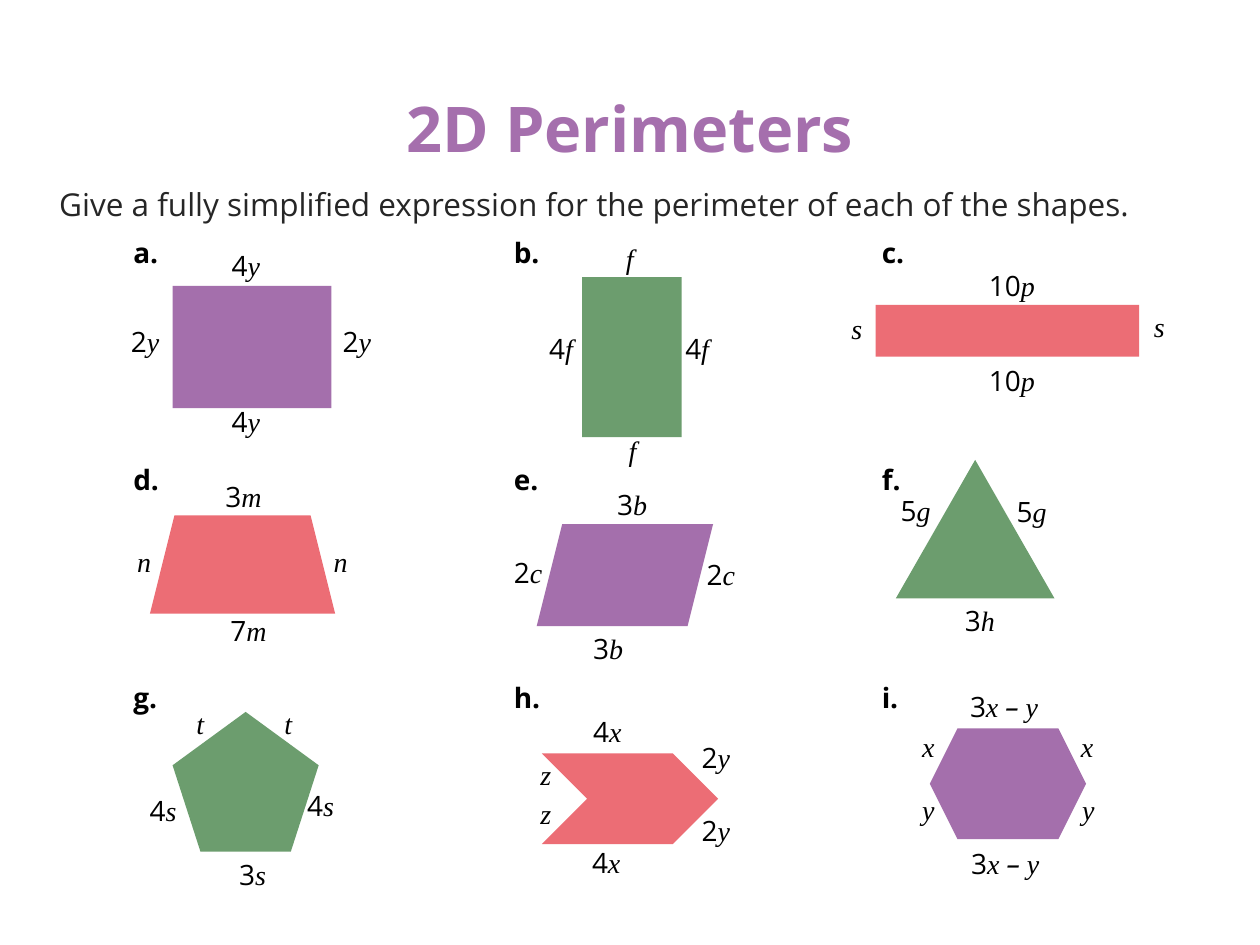
from dataclasses import dataclass
from itertools import groupby, product

from pptx import Presentation
from pptx.dml.color import RGBColor
from pptx.enum.shapes import MSO_SHAPE
from pptx.enum.text import MSO_AUTO_SIZE, PP_ALIGN
from pptx.util import Emu, Pt

PX = 9144
SANS = "Open Sans"
SERIF = "Times New Roman"
PURPLE = RGBColor(0xA4, 0x6F, 0xAC)
GREEN = RGBColor(0x6C, 0x9D, 0x6E)
RED = RGBColor(0xEC, 0x6D, 0x75)
TITLE = RGBColor(0xA5, 0x6F, 0xAD)
INK = RGBColor(0x26, 0x26, 0x26)
BLACK = RGBColor(0, 0, 0)

COLUMNS = (96, 398, 690)
ROWS = (182, 362, 535)
LABEL_H = 37


@dataclass(frozen=True)
class Box:
    x: int
    y: int
    w: int
    h: int

    def emu(self) -> list[Emu]:
        return [Emu(v * PX) for v in (self.x, self.y, self.w, self.h)]


@dataclass(frozen=True)
class Side:
    text: str
    x: int
    y: int
    w: int


@dataclass(frozen=True)
class Exercise:
    letter: str
    kind: MSO_SHAPE
    box: Box
    color: RGBColor
    sides: tuple[Side, ...]


EXERCISES = (
    Exercise("a", MSO_SHAPE.RECTANGLE, Box(137, 227, 126, 97), PURPLE, (
        Side("4y", 174, 192, 51), Side("4y", 174, 316, 51),
        Side("2y", 262, 253, 51), Side("2y", 94, 253, 50))),
    Exercise("b", MSO_SHAPE.RECTANGLE, Box(462, 220, 79, 127), GREEN, (
        Side("4f", 426, 258, 51), Side("4f", 534, 258, 51),
        Side("f", 489, 339, 25), Side("f", 487, 187, 27))),
    Exercise("c", MSO_SHAPE.RECTANGLE, Box(695, 242, 209, 41), RED, (
        Side("10p", 775, 284, 61), Side("10p", 775, 208, 61),
        Side("s", 666, 242, 27), Side("s", 906, 241, 28))),
    Exercise("d", MSO_SHAPE.TRAPEZOID, Box(119, 409, 147, 78), RED, (
        Side("3m", 169, 376, 50), Side("7m", 173, 482, 54),
        Side("n", 99, 427, 47), Side("n", 255, 427, 46))),
    Exercise("e", MSO_SHAPE.PARALLELOGRAM, Box(426, 416, 140, 81), PURPLE, (
        Side("3b", 480, 382, 46), Side("3b", 461, 496, 56),
        Side("2c", 551, 438, 56), Side("2c", 398, 436, 56))),
    Exercise("f", MSO_SHAPE.ISOSCELES_TRIANGLE, Box(711, 365, 126, 110), GREEN, (
        Side("5g", 705, 387, 46), Side("5g", 797, 388, 46),
        Side("3h", 756, 474, 46))),
    Exercise("g", MSO_SHAPE.REGULAR_PENTAGON, Box(137, 565, 116, 111), GREEN, (
        Side("3s", 180, 676, 46), Side("4s", 109, 625, 46),
        Side("4s", 234, 621, 46), Side("t", 216, 556, 47),
        Side("t", 146, 556, 24))),
    Exercise("h", MSO_SHAPE.CHEVRON, Box(430, 598, 140, 72), RED, (
        Side("2y", 547, 583, 51), Side("2y", 547, 641, 50),
        Side("4x", 461, 562, 50), Side("4x", 460, 666, 51),
        Side("z", 419, 596, 50), Side("z", 419, 627, 51))),
    Exercise("i", MSO_SHAPE.HEXAGON, Box(738, 578, 124, 88), PURPLE, (
        Side("3x – y", 760, 542, 79), Side("3x – y", 761, 667, 76),
        Side("x", 722, 574, 74), Side("x", 848, 574, 74),
        Side("y", 722, 624, 74), Side("y", 849, 624, 74))),
)


def add_text(s, box: Box, size: int, color: RGBColor, text: str = "",
             bold: bool = False, grow: bool = True):
    tf = s.shapes.add_textbox(*box.emu()).text_frame
    tf.word_wrap = True
    tf.auto_size = MSO_AUTO_SIZE.SHAPE_TO_FIT_TEXT if grow else MSO_AUTO_SIZE.NONE
    p = tf.paragraphs[0]
    p.text = text
    p.font.size = Pt(size)
    p.font.color.rgb = color
    p.font.name = SANS
    p.font.bold = bold
    return tf


def run_style(char: str) -> tuple[str, bool]:
    return (SANS if char.isdigit() or char == "–" else SERIF), not char.isdigit()


def add_side(s, side: Side) -> None:
    p = add_text(s, Box(side.x, side.y, side.w, LABEL_H), 16, BLACK).paragraphs[0]
    for (font, italic), chars in groupby(side.text, run_style):
        r = p.add_run()
        r.text = "".join(chars)
        r.font.name = font
        r.font.italic = italic


def add_exercise(s, exercise: Exercise, x: int, y: int) -> None:
    sp = s.shapes.add_shape(exercise.kind, *exercise.box.emu())
    sp.shadow.inherit = False
    sp.fill.solid()
    sp.fill.fore_color.rgb = exercise.color
    sp.line.fill.background()
    for side in exercise.sides:
        add_side(s, side)
    add_text(s, Box(x, y, 43, LABEL_H), 16, BLACK, f"{exercise.letter}.", bold=True)


def main() -> None:
    prs = Presentation()
    prs.slide_width, prs.slide_height = Emu(1000 * PX), Emu(750 * PX)
    s = prs.slides.add_slide(prs.slide_layouts[6])

    title = add_text(s, Box(0, 66, 1000, 68), 36, TITLE, "2D Perimeters",
                     bold=True, grow=False)
    title.paragraphs[0].alignment = PP_ALIGN.CENTER
    task = add_text(
        s, Box(47, 142, 906, 40), 18, INK,
        "Give a fully simplified expression for the perimeter of each of the shapes.")
    task.margin_left = task.margin_right = 0

    for exercise, (y, x) in zip(EXERCISES, product(ROWS, COLUMNS)):
        add_exercise(s, exercise, x, y)

    prs.save("out.pptx")


if __name__ == "__main__":
    main()
